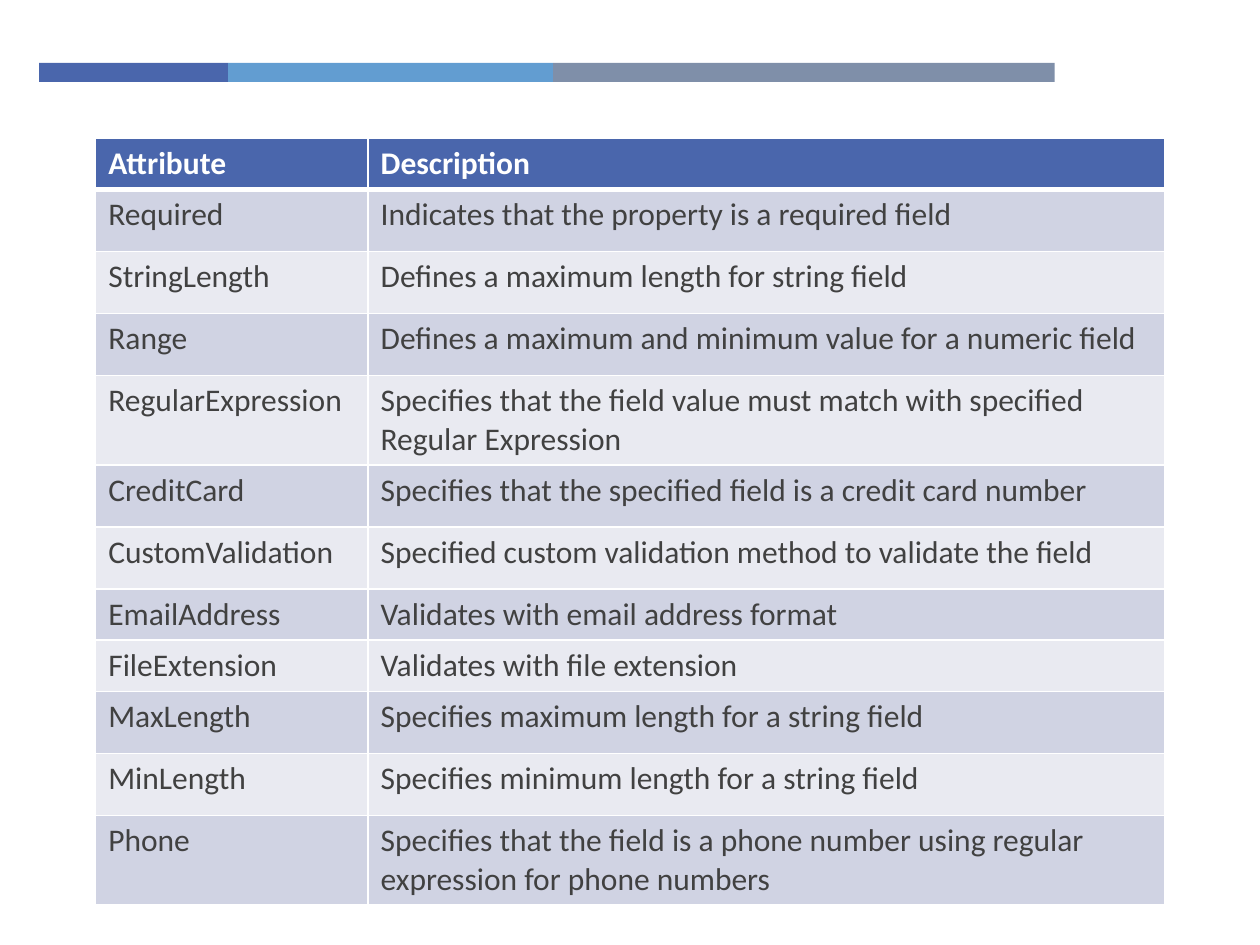
from lxml import etree
from pptx import Presentation
from pptx import util as u
from pptx.dml.color import RGBColor
from pptx.enum import shapes, text
from pptx.oxml.ns import qn

BLUE, WHITE = "4A66AC", "FFFFFF"
BARS = [(3.81, BLUE), (6.55, "629DD1"), (10.11, "7F8FA9")]
COLS = [5.49, 16.05]
LOW, MID, HIGH = 0.84, 1.25, 1.78
ROWS = [
    (LOW, "Attribute", "Description"),
    (MID, "Required", "Indicates that the property is a required field"),
    (MID, "StringLength", "Defines a maximum length for string field"),
    (MID, "Range", "Defines a maximum and minimum value for a numeric field"),
    (HIGH, "RegularExpression",
     "Specifies that the field value must match with specified Regular Expression"),
    (MID, "CreditCard", "Specifies that the specified field is a credit card number"),
    (MID, "CustomValidation", "Specified custom validation method to validate the field"),
    (LOW, "EmailAddress", "Validates with email address format"),
    (LOW, "FileExtension", "Validates with file extension"),
    (MID, "MaxLength", "Specifies maximum length for a string field"),
    (MID, "MinLength", "Specifies minimum length for a string field"),
    (HIGH, "Phone",
     "Specifies that the field is a phone number using regular expression for phone numbers"),
]
HEAD = {"name": "Calibri", "size": u.Pt(18), "bold": True}
BODY = {**HEAD, "bold": False}


def paint(item, tint):
    item.solid()
    item.fore_color.rgb = RGBColor.from_string(tint)


def add_bars(slide, left, top, high):
    for wide, tint in BARS:
        bar = slide.shapes.add_shape(
            shapes.MSO_SHAPE.RECTANGLE, u.Cm(left), u.Cm(top), u.Cm(wide), u.Cm(high))
        bar.shadow.inherit = False
        paint(bar.fill, tint)
        bar.line.fill.background()
        left += wide


def add_edges(cell, sizes):
    props = cell._tc.get_or_add_tcPr()
    for spot, (side, size) in enumerate(sizes.items()):
        edge = etree.Element(qn("a:ln" + side), w=str(u.Pt(size)))
        fill = etree.SubElement(edge, qn("a:solidFill"))
        etree.SubElement(fill, qn("a:srgbClr"), val=WHITE)
        props.insert(spot, edge)


def fill_cell(cell, words, row):
    head = row == 0
    cell.text = words
    cell.vertical_anchor = text.MSO_ANCHOR.BOTTOM if head else text.MSO_ANCHOR.TOP
    font = cell.text_frame.paragraphs[0].runs[0].font
    for key, value in (HEAD if head else BODY).items():
        setattr(font, key, value)
    paint(font.fill, WHITE if head else "414141")
    paint(cell.fill, BLUE if head else "D0D3E3" if row % 2 else "E9EAF1")
    add_edges(cell, {"L": 1, "R": 1, "T": 3 if row == 1 else 1, "B": 3 if head else 1})


def add_grid(slide, left, top):
    high = sum(row[0] for row in ROWS)
    grid = slide.shapes.add_table(
        len(ROWS), len(COLS), u.Cm(left), u.Cm(top), u.Cm(sum(COLS)), u.Cm(high)).table
    for col, wide in zip(grid.columns, COLS):
        col.width = u.Cm(wide)
    for row, (tall, *cells) in enumerate(ROWS):
        grid.rows[row].height = u.Cm(tall)
        for col, words in enumerate(cells):
            fill_cell(grid.cell(row, col), words, row)


def main():
    deck = Presentation()
    deck.slide_width, deck.slide_height = u.Cm(25.4), u.Cm(19.05)
    slide = deck.slides.add_slide(deck.slide_layouts[6])
    add_bars(slide, 0.79, 1.27, 0.38)
    add_grid(slide, 1.93, 2.79)
    deck.save("out.pptx")


if __name__ == "__main__":
    main()
